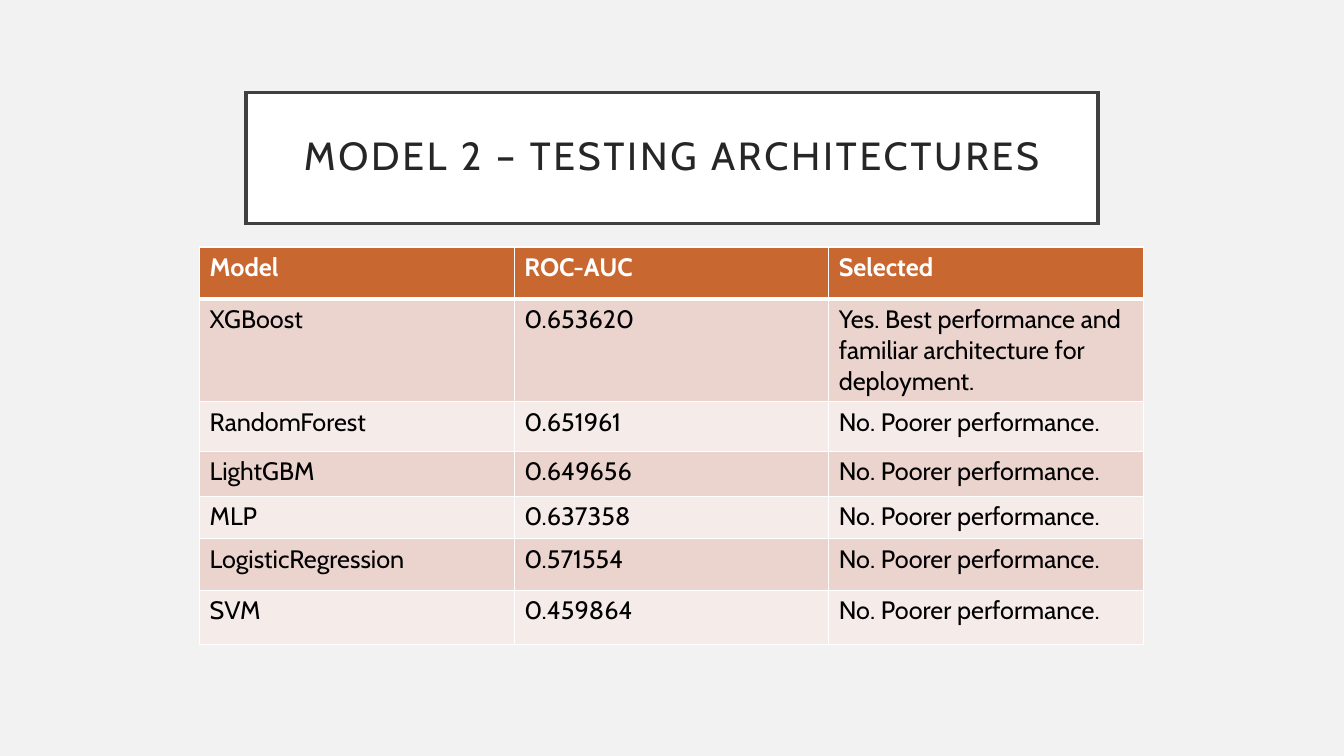
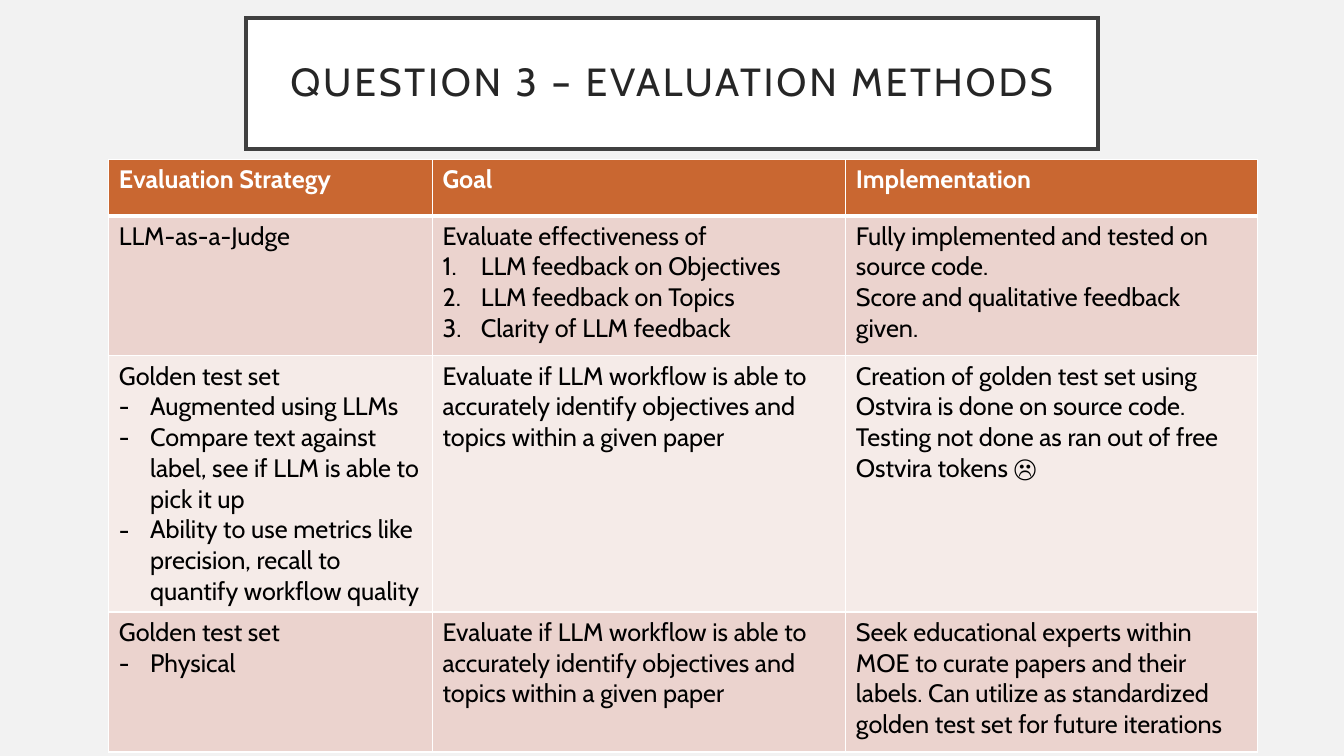
from lxml import etree
from pptx import Presentation, util as u
from pptx.dml.color import RGBColor
from pptx.enum import shapes, text
from pptx.oxml.ns import qn

PX = 9144
FACE = "Cabin"
HUES = {
    "page": "F2F2F2", "white": "FFFFFF", "frame": "404040", "title": "262626",
    "head": "C96731", "odd": "EBD3CE", "even": "F5EBE8", "ink": "000000",
}
MARKS = {
    "- ": (31, "a:buChar", {"char": "-"}),
    "1. ": (38, "a:buAutoNum", {"type": "arabicPeriod"}),
}


class Deck:
    """Hold the shared style and the current slide, and draw its elements."""

    def __init__(self):
        self.prs = Presentation()
        self.prs.slide_width = 1333 * PX
        self.prs.slide_height = 750 * PX

    def hue(self, name):
        return RGBColor.from_string(HUES[name])

    def paint(self, fill, name):
        fill.solid()
        fill.fore_color.rgb = self.hue(name)

    def style(self, para, size, name, bold=False):
        font = para.font
        font.name, font.size, font.bold = FACE, u.Pt(size), bold
        font.color.rgb = self.hue(name)

    def page(self):
        self.slide = self.prs.slides.add_slide(self.prs.slide_layouts[6])
        self.paint(self.slide.background.fill, "page")

    def title(self, top, words):
        box = self.slide.shapes.add_shape(
            shapes.MSO_SHAPE.RECTANGLE, 244 * PX, top * PX, 845 * PX, 130 * PX)
        box.shadow.inherit = False
        self.paint(box.fill, "white")
        box.line.color.rgb = self.hue("frame")
        box.line.width = u.Pt(2.5)
        line = box.line.fill._xPr
        etree.SubElement(line, qn("a:miter"), {"lim": "800000"})
        frame = box.text_frame
        frame.word_wrap = True
        frame.vertical_anchor = text.MSO_ANCHOR.MIDDLE
        frame.margin_left = frame.margin_right = 20 * PX
        frame.margin_top = frame.margin_bottom = 20 * PX
        para = frame.paragraphs[0]
        para.text = words
        para.alignment = text.PP_ALIGN.CENTER
        para.line_spacing = 0.9
        self.style(para, 28, "title")
        para.font._element.set("spc", "200")

    def mark(self, para, line):
        for key, (gap, tag, attrs) in MARKS.items():
            if line.startswith(key):
                props = para._p.get_or_add_pPr()
                props.set("marL", str(gap * PX))
                props.set("indent", str(-gap * PX))
                etree.SubElement(props, qn("a:buFont"), {"typeface": FACE})
                etree.SubElement(props, qn(tag), attrs)
                return line[len(key):]
        return line

    def edge(self, cell, side, width):
        line = etree.SubElement(
            cell._tc.get_or_add_tcPr(), qn("a:ln" + side), {"w": str(u.Pt(width))})
        fill = etree.SubElement(line, qn("a:solidFill"))
        etree.SubElement(fill, qn("a:srgbClr"), {"val": HUES["white"]})

    def cell(self, cell, row, words):
        for side in "LRTB":
            thick = (row, side) in ((0, "B"), (1, "T"))
            self.edge(cell, side, 3 if thick else 1)
        self.paint(cell.fill, "head" if row == 0 else "odd" if row % 2 else "even")
        frame = cell.text_frame
        for i, line in enumerate(words.split("\n")):
            para = frame.add_paragraph() if i else frame.paragraphs[0]
            para.text = self.mark(para, line)
            self.style(para, 18, "ink" if row else "white", row == 0)

    def table(self, left, top, cols, rows, data):
        grid = self.slide.shapes.add_table(
            len(rows), len(cols), left * PX, top * PX,
            sum(cols) * PX, sum(rows) * PX).table
        for col, width in zip(grid.columns, cols):
            col.width = width * PX
        for r, (height, line) in enumerate(zip(rows, data)):
            grid.rows[r].height = height * PX
            for c, words in enumerate(line):
                self.cell(grid.cell(r, c), r, words)

    def save(self):
        self.prs.save("out.pptx")


def main():
    deck = Deck()

    deck.page()
    deck.title(92, "MODEL 2 – TESTING ARCHITECTURES")
    poor = "No. Poorer performance."
    deck.table(198, 245, [312] * 3, [52, 101, 49, 45, 42, 51, 54], [
        ("Model", "ROC-AUC", "Selected"),
        ("XGBoost", "0.653620",
         "Yes. Best performance and familiar architecture for deployment."),
        ("RandomForest", "0.651961", poor),
        ("LightGBM", "0.649656", poor),
        ("MLP", "0.637358", poor),
        ("LogisticRegression", "0.571554", poor),
        ("SVM", "0.459864", poor),
    ])

    deck.page()
    deck.title(18, "QUESTION 3 – EVALUATION METHODS")
    goal = ("Evaluate if LLM workflow is able to accurately identify "
            "objectives and topics within a given paper")
    deck.table(108, 158, [321, 410, 408], [56, 139, 254, 139], [
        ("Evaluation Strategy", "Goal", "Implementation"),
        ("LLM-as-a-Judge",
         "Evaluate effectiveness of\n"
         "1. LLM feedback on Objectives\n"
         "1. LLM feedback on Topics\n"
         "1. Clarity of LLM feedback",
         "Fully implemented and tested on source code.\n"
         "Score and qualitative feedback given."),
        ("Golden test set\n"
         "- Augmented using LLMs\n"
         "- Compare text against label, see if LLM is able to pick it up\n"
         "- Ability to use metrics like precision, recall to quantify "
         "workflow quality",
         goal,
         "Creation of golden test set using Ostvira is done on source code.\n"
         "Testing not done as ran out of free Ostvira tokens ☹"),
        ("Golden test set\n- Physical",
         goal,
         "Seek educational experts within MOE to curate papers and their "
         "labels. Can utilize as standardized golden test set for future "
         "iterations"),
    ])

    deck.save()


if __name__ == "__main__":
    main()
